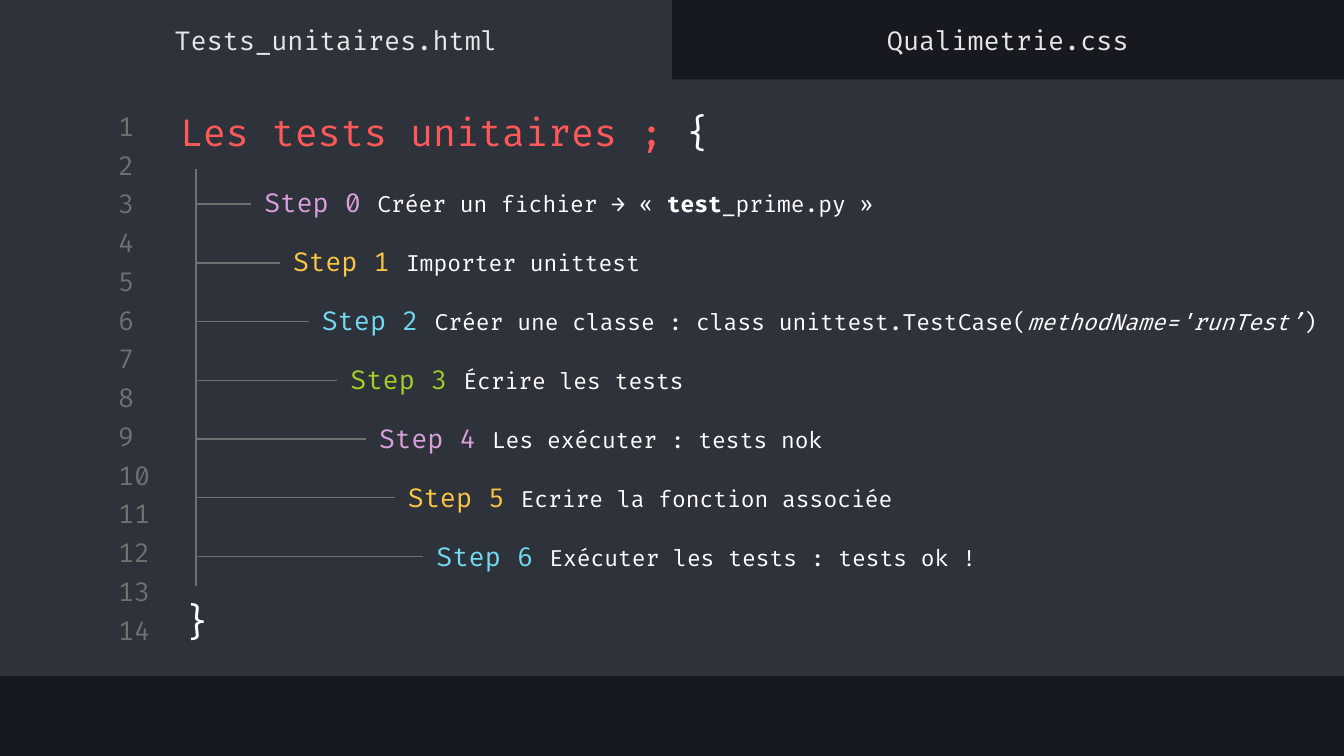
from dataclasses import dataclass

from lxml import etree
from pptx import Presentation
from pptx import util as u
from pptx.dml.color import RGBColor
from pptx.enum import shapes, text
from pptx.oxml.ns import qn
from pptx.slide import Slide


@dataclass(frozen=True)
class Theme:
    font: str = "Fira Code"
    dark: str = "16191F"
    panel: str = "2E323B"
    grey: str = "707070"
    tab: str = "E7E7E7"
    white: str = "FFFFFF"
    red: str = "FF5858"
    purple: str = "DBA0DB"
    yellow: str = "FCC642"
    blue: str = "72D9F0"
    green: str = "A5CF27"
    title_size: float = 20
    label_size: float = 14
    body_size: float = 12
    line_width: float = 0.75


@dataclass(frozen=True)
class Box:
    left: float
    top: float
    width: float
    height: float

    def lengths(self) -> list[u.Length]:
        return [u.Pt(v) for v in (self.left, self.top, self.width, self.height)]


@dataclass(frozen=True)
class Run:
    text: str
    color: str
    size: float
    bold: bool = False
    italic: bool = False


@dataclass(frozen=True)
class Step:
    color: str
    runs: list[Run]


T = Theme()
MIDDLE = text.MSO_ANCHOR.MIDDLE
TOP = text.MSO_ANCHOR.TOP
LEFT = text.PP_ALIGN.LEFT
CENTER = text.PP_ALIGN.CENTER

TRUNK_X, TRUNK_TOP, TRUNK_BOTTOM = 105.1, 90.7, 313.9
BRANCH_Y, BRANCH_PITCH = 109.4, 31.44
BRANCH_END, STEP_INDENT = 134.6, 15.36
STEP_GAP = 14.8
NUMBER_TOP, NUMBER_PITCH, NUMBER_COUNT = 58.9, 20.75, 14


def body(content: str, bold: bool = False, italic: bool = False) -> Run:
    return Run(content, T.white, T.body_size, bold, italic)


STEPS = [
    Step(T.purple, [body("Créer un fichier → « "), body("test", bold=True),
                    body("_prime.py »")]),
    Step(T.yellow, [body("Importer unittest")]),
    Step(T.blue, [body("Créer une classe : class unittest.TestCase("),
                  body("methodName='runTest’", italic=True), body(")")]),
    Step(T.green, [body("Écrire les tests")]),
    Step(T.purple, [body("Les exécuter : tests nok")]),
    Step(T.yellow, [body("Ecrire la fonction associée")]),
    Step(T.blue, [body("Exécuter les tests : tests ok !")]),
]


def add_panel(s: Slide, box: Box) -> None:
    sp = s.shapes.add_shape(shapes.MSO_SHAPE.RECTANGLE, *box.lengths())
    sp.shadow.inherit = False
    sp.fill.solid()
    sp.fill.fore_color.rgb = RGBColor.from_string(T.panel)
    sp.line.fill.background()


def add_frame(s: Slide, box: Box, anchor: text.MSO_ANCHOR, inset: float = 7.2):
    tf = s.shapes.add_textbox(*box.lengths()).text_frame
    tf.word_wrap = True
    tf.vertical_anchor = anchor
    tf.margin_left = tf.margin_right = u.Pt(7.2)
    tf.margin_top = tf.margin_bottom = u.Pt(inset)
    return tf


def fill_paragraph(p, runs: list[Run], align: text.PP_ALIGN = LEFT) -> None:
    p.alignment = align
    p.font.name = T.font
    for run in runs:
        r = p.add_run()
        r.text = run.text
        r.font.size = u.Pt(run.size)
        r.font.color.rgb = RGBColor.from_string(run.color)
        if run.bold:
            r.font.bold = True
        if run.italic:
            r.font.italic = True


def add_label(s: Slide, box: Box, runs: list[Run], align: text.PP_ALIGN = LEFT,
              anchor: text.MSO_ANCHOR = MIDDLE) -> None:
    fill_paragraph(add_frame(s, box, anchor).paragraphs[0], runs, align)


def add_line(s: Slide, x1: float, y1: float, x2: float, y2: float) -> None:
    c = s.shapes.add_connector(shapes.MSO_CONNECTOR.STRAIGHT,
                               *[u.Pt(v) for v in (x1, y1, x2, y2)])
    c.line.color.rgb = RGBColor.from_string(T.grey)
    c.line.width = u.Pt(T.line_width)
    etree.SubElement(c._element.spPr, qn("a:effectLst"))


def add_steps(s: Slide, box: Box, steps: list[Step]) -> None:
    tf = add_frame(s, box, TOP, inset=3.6)
    for i, step in enumerate(steps):
        p = tf.paragraphs[0] if i == 0 else tf.add_paragraph()
        label = Run(f"Step {i} ", step.color, T.label_size)
        fill_paragraph(p, [label, *step.runs])
        if i:
            p.space_before = u.Pt(STEP_GAP)
        pPr = p._p.get_or_add_pPr()
        pPr.set("marL", str(u.Pt(i * STEP_INDENT)))
        pPr.set("indent", "0")


def add_branches(s: Slide, count: int) -> None:
    add_line(s, TRUNK_X, TRUNK_TOP, TRUNK_X, TRUNK_BOTTOM)
    for i in range(count):
        y = BRANCH_Y + i * BRANCH_PITCH
        add_line(s, TRUNK_X, y, BRANCH_END + i * STEP_INDENT, y)


def main() -> None:
    prs = Presentation()
    prs.slide_width, prs.slide_height = u.Pt(720), u.Pt(405)
    s = prs.slides.add_slide(prs.slide_layouts[6])
    s.background.fill.solid()
    s.background.fill.fore_color.rgb = RGBColor.from_string(T.dark)

    add_panel(s, Box(0, 42.5, 720, 319.7))
    add_panel(s, Box(0, 0, 360, 49.7))
    for i in range(NUMBER_COUNT):
        add_label(s, Box(56.2, NUMBER_TOP + i * NUMBER_PITCH, 33.8, 17.3),
                  [Run(str(i + 1), T.grey, T.label_size)])

    add_label(s, Box(89.3, 53.3, 510.5, 34.6),
              [Run("Les tests unitaires ; ", T.red, T.title_size),
               Run("{", T.white, T.title_size)])
    add_label(s, Box(85.7, 313.2, 39.6, 48.2),
              [Run("}", T.white, T.title_size)], CENTER, TOP)
    for i, name in enumerate(["Tests_unitaires.html", "Qualimetrie.css"]):
        add_label(s, Box(i * 360, 7.2, 360, 28.1),
                  [Run(name, T.tab, T.label_size)], CENTER)

    add_steps(s, Box(134.6, 96.5, 585.4, 220.3), STEPS)
    add_branches(s, len(STEPS))
    prs.save("out.pptx")


if __name__ == "__main__":
    main()
